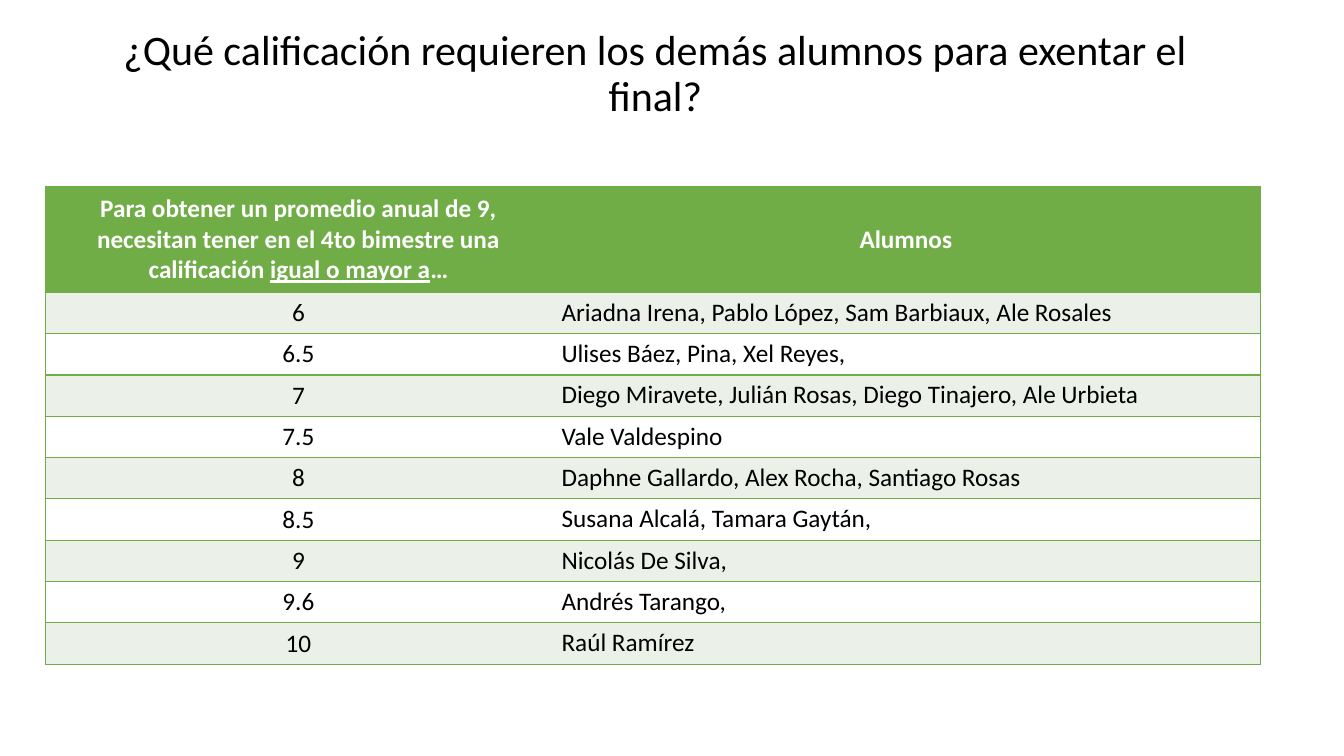
"""Build a slide listing the grade each student needs to skip the final exam."""
from lxml import etree
from pptx import Presentation
from pptx import util as u
from pptx.dml.color import RGBColor
from pptx.enum import text
from pptx.oxml import ns

FONT = "Calibri"
COLORS = {"green": "70AD47", "pale": "EBF1E9", "white": "FFFFFF", "black": "000000"}
TITLE = "¿Qué calificación requieren los demás alumnos para exentar el final?"
HEADER = [
    [
        ("Para obtener un promedio anual de 9, necesitan tener en el 4to bimestre una calificación ", False),
        ("igual o mayor a", True),
        ("…", False),
    ],
    [("Alumnos", False)],
]
STUDENTS_BY_GRADE = [
    ("6", "Ariadna Irena, Pablo López, Sam Barbiaux, Ale Rosales"),
    ("6.5", "Ulises Báez, Pina, Xel Reyes,"),
    ("7", "Diego Miravete, Julián Rosas, Diego Tinajero, Ale Urbieta"),
    ("7.5", "Vale Valdespino"),
    ("8", "Daphne Gallardo, Alex Rocha, Santiago Rosas"),
    ("8.5", "Susana Alcalá, Tamara Gaytán,"),
    ("9", "Nicolás De Silva,"),
    ("9.6", "Andrés Tarango,"),
    ("10", "Raúl Ramírez"),
]
COLUMN_WIDTHS = [5.02, 7.03]
HEADER_HEIGHT, ROW_HEIGHT = 1.05, 0.41


def rgb(name):
    return RGBColor.from_string(COLORS[name])


def add_run(paragraph, words, size, color, bold=False, underline=False):
    run = paragraph.add_run()
    run.text = words
    font = run.font
    font.name, font.size, font.bold = FONT, u.Pt(size), bold
    font.underline = underline
    font.color.rgb = rgb(color)


def add_title(slide):
    title = slide.shapes.title
    title.left, title.top = u.Inches(0.75), u.Inches(0.02)
    title.width, title.height = u.Inches(11.5), u.Inches(1.45)
    frame = title.text_frame
    frame.word_wrap = True
    frame.auto_size = text.MSO_AUTO_SIZE.NONE
    frame.vertical_anchor = text.MSO_ANCHOR.MIDDLE
    paragraph = frame.paragraphs[0]
    paragraph.alignment = text.PP_ALIGN.CENTER
    paragraph.line_spacing = 0.9
    add_run(paragraph, TITLE, 30, "black")


def set_borders(cell, visible_sides):
    properties = cell._tc.get_or_add_tcPr()
    for side in "LRTB":
        line = etree.SubElement(properties, ns.qn(f"a:ln{side}"), w=str(u.Pt(1)))
        if side in visible_sides:
            fill = etree.SubElement(line, ns.qn("a:solidFill"))
            etree.SubElement(fill, ns.qn("a:srgbClr"), val=COLORS["green"])
        else:
            etree.SubElement(line, ns.qn("a:noFill"))


def fill_cell(cell, runs, column, header, fill):
    set_borders(cell, "LTB" if column == 0 else "RTB")
    cell.fill.solid()
    cell.fill.fore_color.rgb = rgb(fill)
    centred = header or column == 0
    cell.vertical_anchor = text.MSO_ANCHOR.MIDDLE if centred else text.MSO_ANCHOR.TOP
    paragraph = cell.text_frame.paragraphs[0]
    paragraph.alignment = text.PP_ALIGN.CENTER if centred else text.PP_ALIGN.LEFT
    for words, underline in runs:
        add_run(paragraph, words, 18, "white" if header else "black", header, underline)


def add_grade_table(slide):
    rows = [HEADER] + [[[(value, False)] for value in row] for row in STUDENTS_BY_GRADE]
    height = HEADER_HEIGHT + ROW_HEIGHT * len(STUDENTS_BY_GRADE)
    table = slide.shapes.add_table(
        len(rows), len(COLUMN_WIDTHS), u.Inches(0.45), u.Inches(1.85),
        u.Inches(sum(COLUMN_WIDTHS)), u.Inches(height),
    ).table
    for column, width in zip(table.columns, COLUMN_WIDTHS):
        column.width = u.Inches(width)
    for row_index, row in enumerate(rows):
        header = row_index == 0
        table.rows[row_index].height = u.Inches(HEADER_HEIGHT if header else ROW_HEIGHT)
        fill = "green" if header else ("pale" if row_index % 2 else "white")
        for column_index, runs in enumerate(row):
            fill_cell(table.cell(row_index, column_index), runs, column_index, header, fill)


def main():
    presentation = Presentation()
    presentation.slide_width = u.Inches(13.33)
    presentation.slide_height = u.Inches(7.5)
    slide = presentation.slides.add_slide(presentation.slide_layouts[5])
    add_title(slide)
    add_grade_table(slide)
    presentation.save("out.pptx")


if __name__ == "__main__":
    main()
